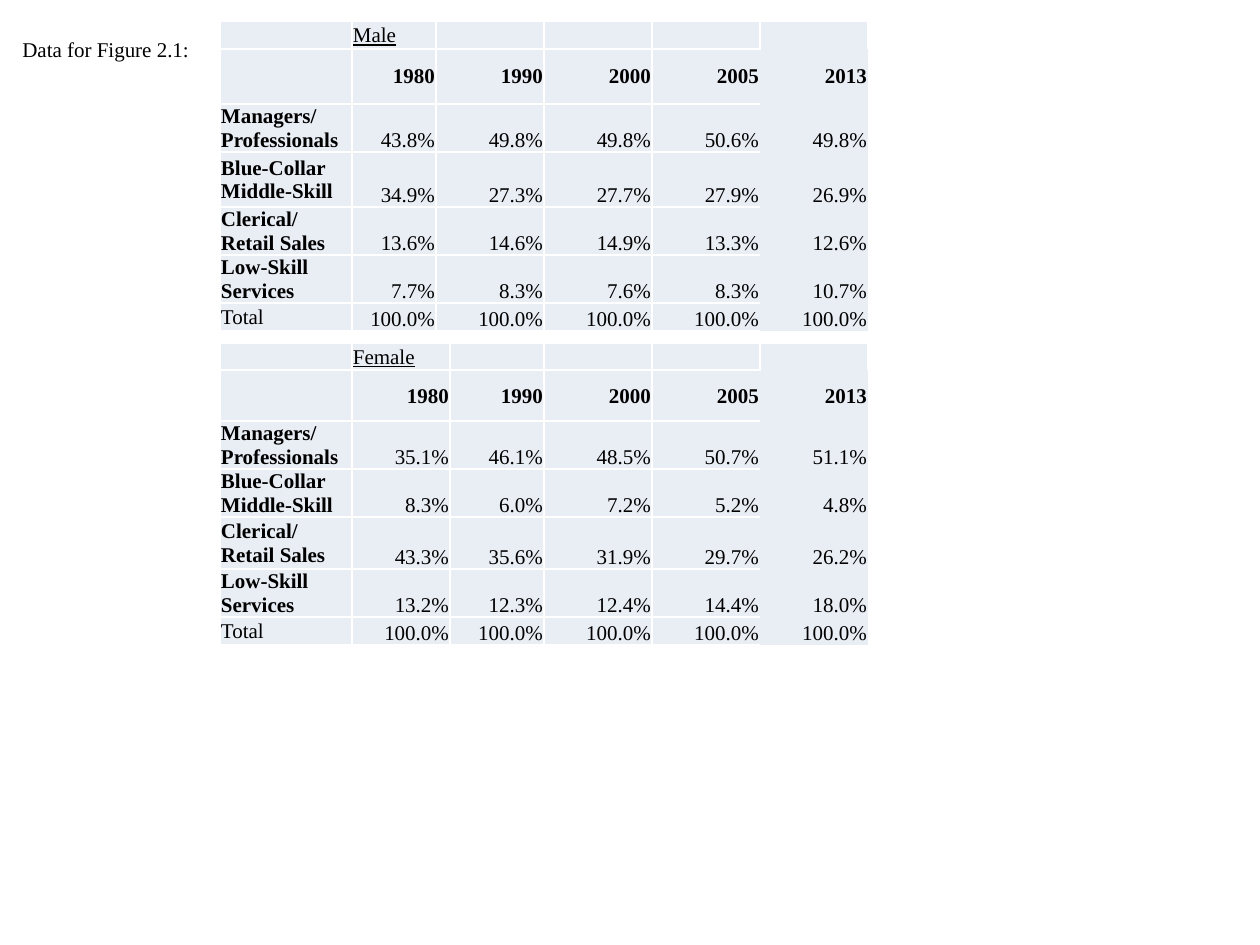
from lxml import etree
from pptx import Presentation
from pptx.dml.color import RGBColor
from pptx.enum.text import MSO_ANCHOR, PP_ALIGN
from pptx.oxml.ns import qn
from pptx.util import Emu, Pt

LEFT, RIGHT = PP_ALIGN.LEFT, PP_ALIGN.RIGHT
MIDDLE, BOTTOM = MSO_ANCHOR.MIDDLE, MSO_ANCHOR.BOTTOM
FONT, SIZE = "Times New Roman", 12
BLACK, WHITE, PALE = "000000", "FFFFFF", "E9EDF4"

YEARS = ["1980", "1990", "2000", "2005", "2013"]
GROUPS = ["Managers/Professionals", "Blue-Collar Middle-Skill",
          "Clerical/Retail Sales", "Low-Skill Services", "Total"]
MALE = [[43.8, 49.8, 49.8, 50.6, 49.8],
        [34.9, 27.3, 27.7, 27.9, 26.9],
        [13.6, 14.6, 14.9, 13.3, 12.6],
        [7.7, 8.3, 7.6, 8.3, 10.7],
        [100.0] * 5]
FEMALE = [[35.1, 46.1, 48.5, 50.7, 51.1],
          [8.3, 6.0, 7.2, 5.2, 4.8],
          [43.3, 35.6, 31.9, 29.7, 26.2],
          [13.2, 12.3, 12.4, 14.4, 18.0],
          [100.0] * 5]


def px(n):
    """Turn pixels into EMU at 126 pixels to the inch."""
    return Emu(round(n * 914400 / 126))


def rgb(color):
    """Turn a hex string into a colour."""
    return RGBColor.from_string(color)


def write(tf, text, bold=False, underline=False, align=LEFT):
    """Put one formatted line of text into a text frame."""
    p = tf.paragraphs[0]
    p.alignment = align
    if not text:
        etree.SubElement(p._p, qn("a:endParaRPr"), sz=str(SIZE * 100))
        return
    r = p.add_run()
    r.text = text
    r.font.name, r.font.size = FONT, Pt(SIZE)
    r.font.bold, r.font.underline = bold, underline
    r.font.color.rgb = rgb(BLACK)


def set_borders(cell, sides):
    """Draw white lines on the given sides and none on the others."""
    tcPr = cell._tc.get_or_add_tcPr()
    for side in "LRTB":
        ln = etree.SubElement(tcPr, qn("a:ln" + side), w=str(Pt(1)))
        if side in sides:
            fill = etree.SubElement(ln, qn("a:solidFill"))
            etree.SubElement(fill, qn("a:srgbClr"), val=WHITE)
        else:
            etree.SubElement(ln, qn("a:noFill"))


def border_sides(row, col):
    """Name the ruled sides: the 2013 column is open below its first cell."""
    if col == len(YEARS):
        return "LTR" if row == 0 else ""
    if col == len(YEARS) - 1 and row > 0:
        return "LTB"
    return "LRTB"


def cell_format(row, col):
    """Give the text format of a cell from its place."""
    if row == 0:
        return {"underline": True}
    if col == 0:
        return {"bold": row < len(GROUPS) + 1}
    return {"bold": row == 1, "align": RIGHT}


def add_share_table(s, heading, shares, top, widths, heights):
    """Add the table of occupation shares for one sex."""
    data = [["", heading] + [""] * 4, [""] + YEARS]
    data += [[group] + [f"{v:.1f}%" for v in row]
             for group, row in zip(GROUPS, shares)]
    table = s.shapes.add_table(len(heights), len(widths), px(220), px(top),
                               px(sum(widths)), px(sum(heights))).table
    table.first_row = table.horz_banding = False
    for column, width in zip(table.columns, widths):
        column.width = px(width)
    for row, height in zip(table.rows, heights):
        row.height = px(height)
    for i, texts in enumerate(data):
        for j, text in enumerate(texts):
            cell = table.cell(i, j)
            cell.margin_left = cell.margin_right = cell.margin_top = px(1)
            cell.margin_bottom = 0
            cell.vertical_anchor = BOTTOM if i > 1 and j > 0 else MIDDLE
            set_borders(cell, border_sides(i, j))
            cell.fill.solid()
            cell.fill.fore_color.rgb = rgb(PALE)
            write(cell.text_frame, text, **cell_format(i, j))


def add_caption(s, text, left, top, width, height):
    """Add the caption beside the tables."""
    sp = s.shapes.add_textbox(px(left), px(top), px(width), px(height))
    sp.text_frame.word_wrap = True
    write(sp.text_frame, text)


def main():
    """Build the slide and save it."""
    prs = Presentation()
    prs.slide_width, prs.slide_height = px(1260), px(945)
    s = prs.slides.add_slide(prs.slide_layouts[6])
    add_share_table(s, "Male", MALE, 21, [132, 84] + [108] * 4,
                    [28, 55, 48, 55, 48, 48, 28])
    add_share_table(s, "Female", FEMALE, 343, [132, 98, 94] + [108] * 3,
                    [27, 51, 48, 48, 52, 48, 28])
    add_caption(s, "Data for Figure 2.1:", 10, 30, 199, 38)
    prs.save("out.pptx")


main()
